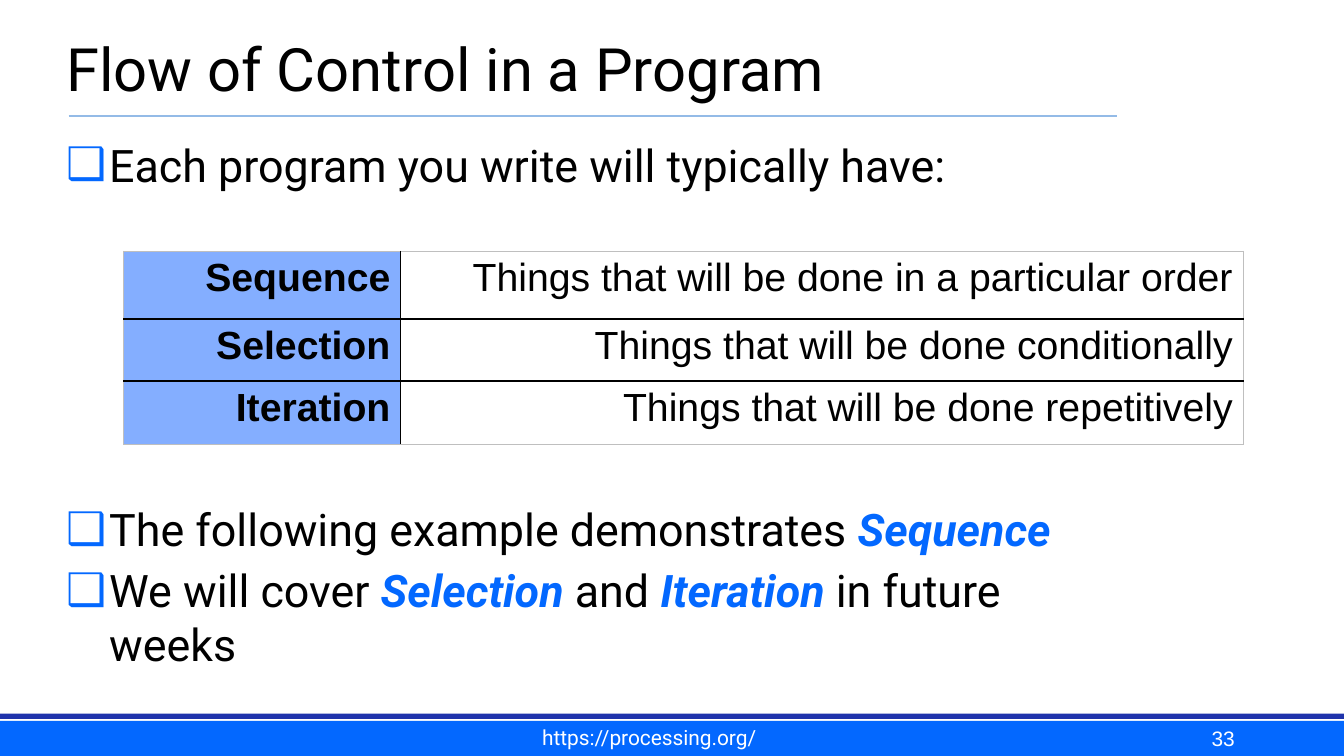
from lxml.etree import SubElement
from pptx import Presentation
from pptx.dml.color import RGBColor
from pptx.enum.shapes import MSO_CONNECTOR, MSO_SHAPE
from pptx.enum.text import MSO_ANCHOR, PP_ALIGN
from pptx.oxml.ns import qn
from pptx.util import Inches, Pt

SLIDE_WIDTH = Inches(10)
SLIDE_HEIGHT = SLIDE_WIDTH * 9 // 16
BLACK, WHITE, BLUE, NAVY = "000000", "FFFFFF", "0368FF", "1F33AB"
RULE_BLUE, CELL_BLUE, GREY = "94BBE7", "84AEFF", "BFBFBF"

TITLE = {"name": "Roboto", "size": Pt(32)}
BODY = {"name": "Roboto", "size": Pt(24)}
TERM = BODY | {"bold": True, "italic": True}
CELL = {"name": "Arial", "size": Pt(21), "bold": False}
CELL_HEAD = CELL | {"bold": True}
FOOTER = {"name": "Roboto", "size": Pt(11.2)}
PAGE_NUMBER = FOOTER | {"name": "Arial"}

# Space before each bullet in points, then its spans; the second gap clears the table.
BULLETS = [
    (0, [("Each program you write will typically have:", BODY, BLACK)]),
    (166.5, [("The following example demonstrates ", BODY, BLACK),
             ("Sequence", TERM, BLUE)]),
    (3.8, [("We will cover ", BODY, BLACK), ("Selection ", TERM, BLUE),
           ("and ", BODY, BLACK), ("Iteration ", TERM, BLUE),
           ("in future weeks", BODY, BLACK)]),
]
CONSTRUCTS = [
    ("Sequence", "Things that will be done in a particular order"),
    ("Selection", "Things that will be done conditionally"),
    ("Iteration", "Things that will be done repetitively"),
]
COLUMN_SHARES = (20.6, 62.7)
ROW_SHARES = (8.95, 8.2, 8.4)


def color(hex_value):
    return RGBColor.from_string(hex_value)


def across(share):
    """Turn a percentage of the slide width into a length."""
    return int(SLIDE_WIDTH * share / 100)


def down(share):
    """Turn a percentage of the slide height into a length."""
    return int(SLIDE_HEIGHT * share / 100)


def area(left, top, width, height):
    return across(left), down(top), across(width), down(height)


def add_span(para, text, style, hex_value):
    span = para.add_run()
    span.text = text
    for key, value in style.items():
        setattr(span.font, key, value)
    span.font.color.rgb = color(hex_value)


def add_box(page, place, anchor=MSO_ANCHOR.BOTTOM, margin=4.5):
    box = page.shapes.add_textbox(*area(*place))
    frame = box.text_frame
    frame.word_wrap = True
    frame.vertical_anchor = anchor
    for side in ("left", "top", "right", "bottom"):
        setattr(frame, f"margin_{side}", Pt(margin))
    return frame


def add_label(page, place, text, style, hex_value, align=PP_ALIGN.LEFT, margin=4.5):
    para = add_box(page, place, margin=margin).paragraphs[0]
    para.alignment = align
    add_span(para, text, style, hex_value)


def add_band(page, place, hex_value):
    band = page.shapes.add_shape(MSO_SHAPE.RECTANGLE, *area(*place))
    band.shadow.inherit = False
    band.fill.solid()
    band.fill.fore_color.rgb = color(hex_value)
    band.line.fill.background()


def add_rule(page, left, right, top):
    """Draw the line under the title."""
    rule = page.shapes.add_connector(
        MSO_CONNECTOR.STRAIGHT, across(left), down(top), across(right), down(top))
    rule.line.color.rgb = color(RULE_BLUE)
    rule.line.width = Pt(1)
    SubElement(rule._element.spPr, qn("a:effectLst"))


def set_bullet(para):
    properties = para._p.get_or_add_pPr()
    properties.set("marL", str(Inches(0.32)))
    properties.set("indent", str(Inches(-0.32)))
    bullet_color = SubElement(properties, qn("a:buClr"))
    SubElement(bullet_color, qn("a:srgbClr"), val=BLUE)
    SubElement(properties, qn("a:buFont"), typeface="Arial")
    SubElement(properties, qn("a:buChar"), char="❑")


def add_bullets(page, place, bullets):
    frame = add_box(page, place, anchor=MSO_ANCHOR.TOP)
    for index, (gap, spans) in enumerate(bullets):
        para = frame.add_paragraph() if index else frame.paragraphs[0]
        set_bullet(para)
        para.space_before = Pt(gap)
        for span in spans:
            add_span(para, *span)


def set_borders(cell, inner_sides):
    """Draw inner sides in black and outer sides as a thin grey line."""
    properties = cell._tc.get_or_add_tcPr()
    for side in "LRTB":
        hex_value, width = (BLACK, 1) if side in inner_sides else (GREY, 0.5)
        border = SubElement(properties, qn(f"a:ln{side}"), w=str(Pt(width)))
        fill = SubElement(border, qn("a:solidFill"))
        SubElement(fill, qn("a:srgbClr"), val=hex_value)


def fill_cell(cell, text, is_head):
    if is_head:
        cell.fill.solid()
        cell.fill.fore_color.rgb = color(CELL_BLUE)
    else:
        cell.fill.background()
    cell.margin_left = cell.margin_right = Pt(5.4)
    cell.margin_top = cell.margin_bottom = Pt(2.7)
    para = cell.text_frame.paragraphs[0]
    para.alignment = PP_ALIGN.RIGHT
    add_span(para, text, CELL_HEAD if is_head else CELL, BLACK)


def add_construct_table(page, left, top):
    place = area(left, top, sum(COLUMN_SHARES), sum(ROW_SHARES))
    table = page.shapes.add_table(len(ROW_SHARES), len(COLUMN_SHARES), *place).table
    table.first_row = table.horz_banding = False
    for column, share in zip(table.columns, COLUMN_SHARES):
        column.width = across(share)
    for row, share in zip(table.rows, ROW_SHARES):
        row.height = down(share)
    for row_index, texts in enumerate(CONSTRUCTS):
        for column_index, text in enumerate(texts):
            cell = table.cell(row_index, column_index)
            inner = "L" if column_index else "R"
            inner += "T" if row_index else ""
            inner += "B" if row_index < len(CONSTRUCTS) - 1 else ""
            set_borders(cell, inner)
            fill_cell(cell, text, is_head=column_index == 0)


def main():
    deck = Presentation()
    deck.slide_width, deck.slide_height = SLIDE_WIDTH, SLIDE_HEIGHT
    page = deck.slides.add_slide(deck.slide_layouts[6])

    add_band(page, (0, 95.37, 100, 4.63), BLUE)
    add_band(page, (0, 94.4, 100, 0.7), NAVY)
    add_rule(page, 5.1, 83.1, 15.3)
    add_label(page, (4.3, 0, 85, 14.77), "Flow of Control in a Program", TITLE, BLACK)
    add_bullets(page, (4.3, 17.05, 80, 76.69), BULLETS)
    add_construct_table(page, 9.2, 33.24)
    add_label(page, (71.7, 94.84, 20.8, 5.52), "33", PAGE_NUMBER, WHITE, PP_ALIGN.RIGHT)
    add_label(page, (35.2, 95.2, 26.6, 4.63), "https://processing.org/ ", FOOTER, WHITE,
              PP_ALIGN.CENTER, margin=2.7)
    deck.save("out.pptx")


if __name__ == "__main__":
    main()
